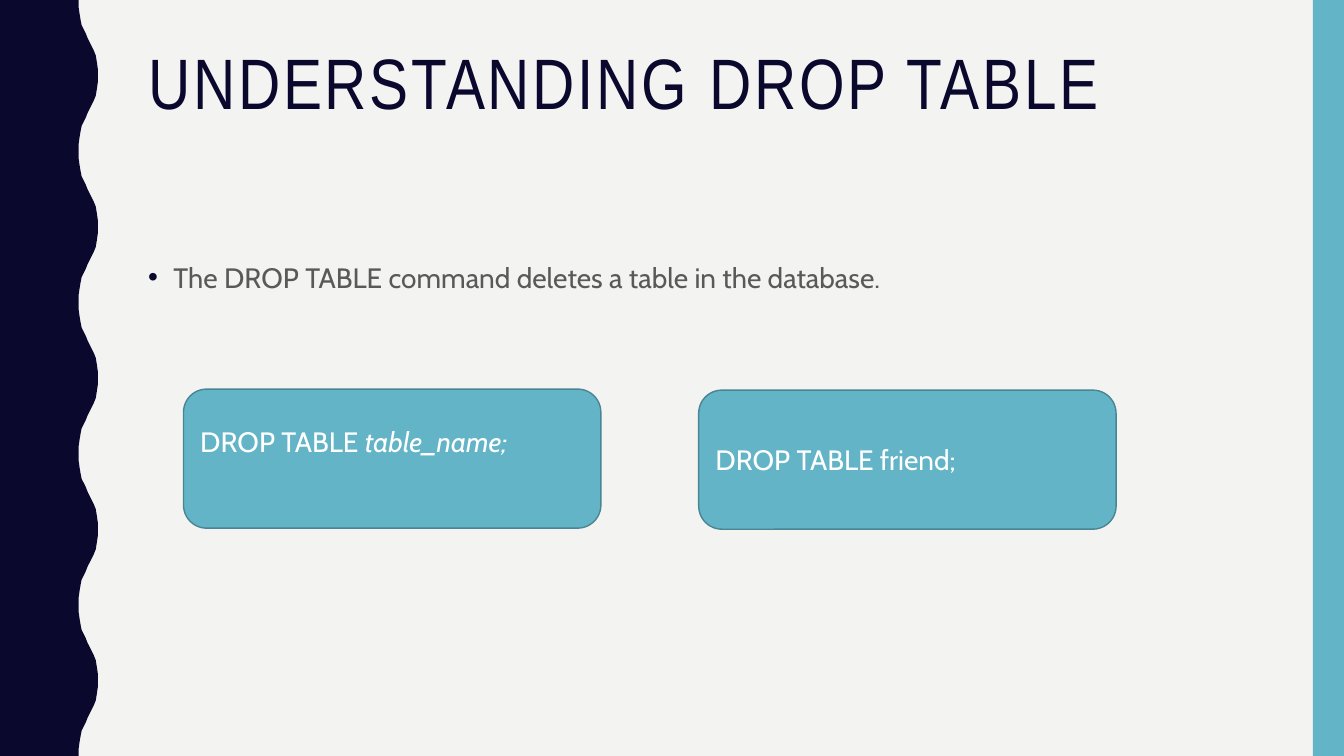
from dataclasses import dataclass

from lxml import etree
from pptx import Presentation
from pptx.dml.color import RGBColor
from pptx.enum.shapes import MSO_SHAPE
from pptx.enum.text import MSO_ANCHOR, MSO_AUTO_SIZE, PP_ALIGN
from pptx.oxml.ns import qn
from pptx.util import Inches, Pt

RECTANGLE = MSO_SHAPE.RECTANGLE
ROUNDED = MSO_SHAPE.ROUNDED_RECTANGLE
TOP, MIDDLE = MSO_ANCHOR.TOP, MSO_ANCHOR.MIDDLE
LEFT = PP_ALIGN.LEFT
NO_AUTOFIT = MSO_AUTO_SIZE.NONE


@dataclass(frozen=True)
class Theme:
    background: str = "F3F3F2"
    navy: str = "0B082E"
    teal: str = "62B4C6"
    outline: str = "498592"
    gray: str = "595959"
    white: str = "FFFFFF"
    heading_font: str = "Arial Narrow"
    body_font: str = "Cabin"
    title_size: int = 51
    body_size: int = 20


THEME = Theme()
SLIDE_WIDTH, SLIDE_HEIGHT = 13.33, 7.5

# One half wave of the left edge, as (x, y); the other half mirrors it
WAVE_LENGTH = 1.5
HALF_WAVE = [(0.78, 0), (0.78, 0.07), (0.79, 0.14), (0.8, 0.2), (0.81, 0.25),
             (0.83, 0.29), (0.85, 0.33), (0.87, 0.38), (0.89, 0.42),
             (0.91, 0.46), (0.93, 0.5), (0.95, 0.55), (0.96, 0.61),
             (0.97, 0.68), (0.97, 0.75)]


def color(value):
    return RGBColor.from_string(value)


def place(shape, left, top, width, height):
    shape.left, shape.top = Inches(left), Inches(top)
    shape.width, shape.height = Inches(width), Inches(height)


def add_text(paragraph, text, *, size=THEME.body_size, font=THEME.body_font,
             fill=THEME.white, italic=False, spacing=None):
    run = paragraph.add_run()
    run.text = text
    run.font.size, run.font.name = Pt(size), font
    run.font.color.rgb = color(fill)
    run.font.italic = italic
    if spacing is not None:
        run.font._element.set("spc", str(spacing * 100))


def prepare_frame(shape, anchor, line_spacing):
    frame = shape.text_frame
    frame.word_wrap = True
    frame.auto_size = NO_AUTOFIT
    frame.vertical_anchor = anchor
    paragraph = frame.paragraphs[0]
    paragraph.alignment = LEFT
    paragraph.line_spacing = line_spacing
    return paragraph


def set_bullet(paragraph, character, fill, indent):
    properties = paragraph._p.get_or_add_pPr()
    properties.set("marL", str(Inches(indent)))
    properties.set("indent", str(-Inches(indent)))
    bullet_color = etree.SubElement(properties, qn("a:buClr"))
    etree.SubElement(bullet_color, qn("a:srgbClr"), val=fill)
    etree.SubElement(properties, qn("a:buFont"), typeface="Arial")
    etree.SubElement(properties, qn("a:buChar"), char=character)


def style_shape(shape, fill, line=None):
    shape.shadow.inherit = False
    shape.fill.solid()
    shape.fill.fore_color.rgb = color(fill)
    if line is None:
        shape.line.fill.background()
    else:
        shape.line.color.rgb = color(line)
        shape.line.width = Pt(1)


def add_preset(slide, kind, box, fill, line=None):
    shape = slide.shapes.add_shape(kind, *(Inches(value) for value in box))
    style_shape(shape, fill, line)
    return shape


def add_wavy_band(slide):
    wave = HALF_WAVE + [(x, WAVE_LENGTH - y) for x, y in HALF_WAVE[-2::-1]]
    count = round(SLIDE_HEIGHT / WAVE_LENGTH)
    edge = [(x, y + index * WAVE_LENGTH) for index in range(count) for x, y in wave]
    points = [(Inches(x), Inches(y)) for x, y in edge + [(0, SLIDE_HEIGHT)]]
    builder = slide.shapes.build_freeform(0, 0)
    builder.add_line_segments(points, close=True)
    style_shape(builder.convert_to_shape(), THEME.navy)


def add_code_box(slide, left, top, parts, bottom_inset=0.05):
    shape = add_preset(slide, ROUNDED, (left, top, 4.14, 1.38),
                       THEME.teal, THEME.outline)
    paragraph = prepare_frame(shape, MIDDLE, 1.0)
    shape.text_frame.margin_bottom = Inches(bottom_inset)
    for text, italic in parts:
        add_text(paragraph, text, italic=italic)


def main():
    presentation = Presentation()
    presentation.slide_width = Inches(SLIDE_WIDTH)
    presentation.slide_height = Inches(SLIDE_HEIGHT)
    slide = presentation.slides.add_slide(presentation.slide_layouts[1])

    # Background and side bands
    slide.background.fill.solid()
    slide.background.fill.fore_color.rgb = color(THEME.background)
    add_wavy_band(slide)
    add_preset(slide, RECTANGLE, (13.02, 0, 0.31, SLIDE_HEIGHT), THEME.teal)

    # Title
    title = slide.shapes.title
    place(title, 1.37, 0.42, 11.13, 1.63)
    add_text(prepare_frame(title, TOP, 0.9), "UNDERSTANDING DROP TABLE",
             size=THEME.title_size, font=THEME.heading_font,
             fill=THEME.navy, spacing=2)

    # Bulleted statement
    body = slide.placeholders[1]
    place(body, 1.37, 2.5, 11.13, 3.93)
    statement = prepare_frame(body, TOP, 1.1)
    statement.space_before = Pt(7)
    set_bullet(statement, "•", THEME.navy, 0.25)
    add_text(statement, "The DROP TABLE command deletes a table in the database.",
             fill=THEME.gray)

    # Syntax and example; the syntax sits half a line higher
    add_code_box(slide, 1.82, 3.86,
                 [("DROP\u00a0TABLE\u00a0", False), ("table_name;", True)],
                 bottom_inset=0.39)
    add_code_box(slide, 6.93, 3.87, [("DROP TABLE friend;", False)])

    presentation.save("out.pptx")


main()
